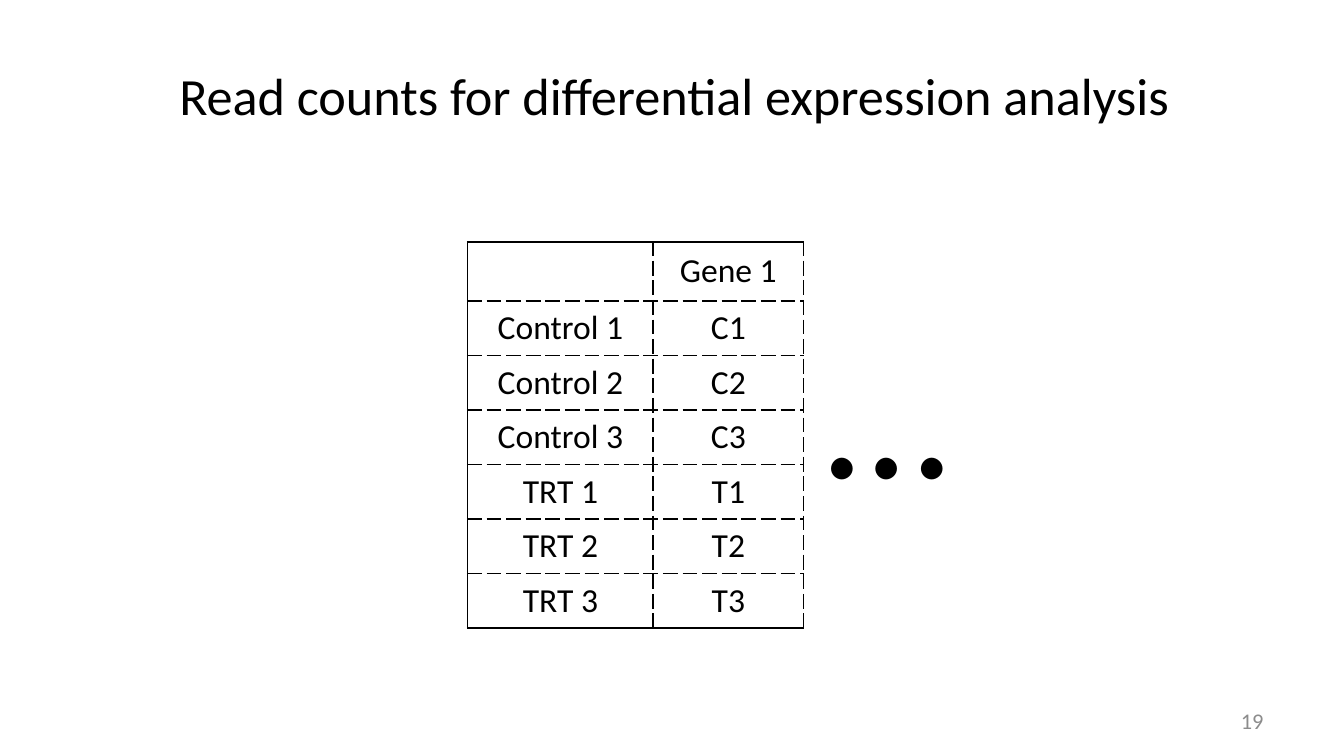
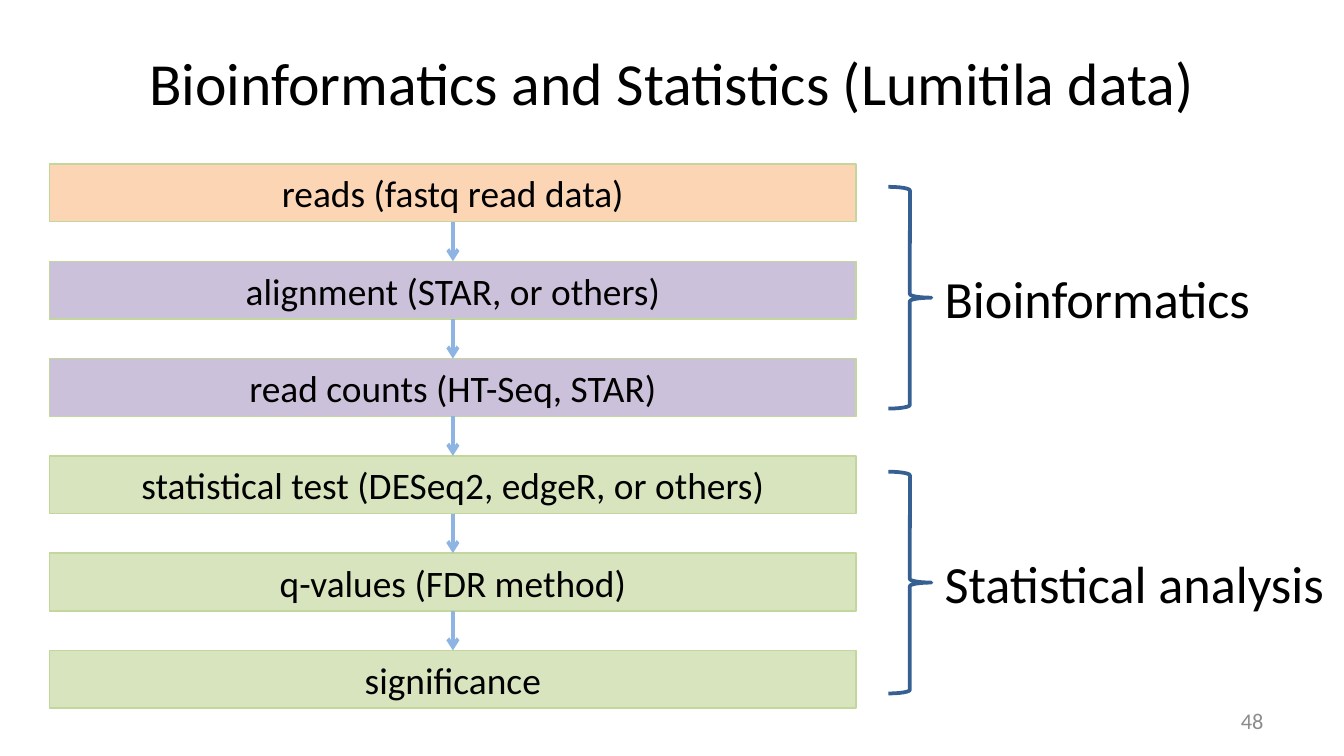
import pptx
import pptx.dml.color
import pptx.enum.shapes
import pptx.enum.text
import pptx.oxml
import pptx.oxml.ns
import pptx.util
from lxml import etree

Inches = pptx.util.Inches
Pt = pptx.util.Pt
ALIGN = pptx.enum.text.PP_ALIGN
ANCHOR = pptx.enum.text.MSO_ANCHOR
FIT = pptx.enum.text.MSO_AUTO_SIZE
SHAPE = pptx.enum.shapes.MSO_SHAPE

PAGE_WIDTH = 10
PAGE_HEIGHT = PAGE_WIDTH * 9 / 16
FONT = "Calibri"
BLACK = "000000"
GREY = "8C8C8C"
ORANGE = "FCD5B5"
PURPLE = "CCC1DA"
GREEN = "D7E4BD"
STEP_EDGE = "C3D69B"
ARROW_BLUE = "8EB4E3"
BRACE_BLUE = "376092"


def colour(hex_code):
    return pptx.dml.color.RGBColor.from_string(hex_code)


def inches(box):
    return [Inches(length) for length in box]


def write(frame, text, size, align=ALIGN.CENTER, ink=BLACK):
    para = frame.paragraphs[0]
    para.alignment = align
    span = para.add_run()
    span.text = text
    span.font.name = FONT
    span.font.size = Pt(size)
    span.font.color.rgb = colour(ink)


def add_label(page, box, text, size, wrap=False, anchor=ANCHOR.MIDDLE, **style):
    frame = page.shapes.add_textbox(*inches(box)).text_frame
    frame.word_wrap = wrap
    frame.auto_size = FIT.NONE if wrap else FIT.SHAPE_TO_FIT_TEXT
    frame.vertical_anchor = anchor
    write(frame, text, size, **style)


def add_page(deck, title, title_box, title_size, number):
    """Add a slide with its title and its number at the bottom right."""
    page = deck.slides.add_slide(deck.slide_layouts.get_by_name("Title Only"))
    heading = page.shapes.title
    heading.left, heading.top, heading.width, heading.height = inches(title_box)
    frame = heading.text_frame
    frame.word_wrap = True
    frame.auto_size = FIT.NONE
    frame.vertical_anchor = ANCHOR.MIDDLE
    write(frame, title, title_size)
    add_label(page, (7.17, 5.21, 2.33, 0.3), number, 12, wrap=True,
              align=ALIGN.RIGHT, ink=GREY)
    return page


def set_borders(cell, solid_sides):
    """Give a cell black borders, dashed except on the solid sides."""
    properties = cell._tc.get_or_add_tcPr()
    for side in "LRTB":
        dash = "solid" if side in solid_sides else "sysDash"
        properties.append(pptx.oxml.parse_xml(
            f'<a:ln{side} {pptx.oxml.ns.nsdecls("a")} w="{Pt(1)}">'
            f'<a:solidFill><a:srgbClr val="{BLACK}"/></a:solidFill>'
            f'<a:prstDash val="{dash}"/></a:ln{side}>'))


def add_count_table(page, box, rows, column_widths, row_heights):
    """Draw a table whose left, top and bottom edges are solid."""
    table = page.shapes.add_table(len(rows), len(column_widths), *inches(box)).table
    table.first_row = False
    table.horz_banding = False
    for column, width in zip(table.columns, column_widths):
        column.width = Inches(width)
    for row, height in zip(table.rows, row_heights):
        row.height = Inches(height)
    for r, texts in enumerate(rows):
        for c, text in enumerate(texts):
            cell = table.cell(r, c)
            solid_sides = "L" if c == 0 else ""
            solid_sides += "T" if r == 0 else ""
            solid_sides += "B" if r == len(rows) - 1 else ""
            set_borders(cell, solid_sides)
            cell.fill.background()
            cell.vertical_anchor = ANCHOR.MIDDLE
            if text:
                write(cell.text_frame, text, 18)


def add_step(page, box, text, fill):
    step = page.shapes.add_shape(SHAPE.RECTANGLE, *inches(box))
    step.shadow.inherit = False
    step.fill.solid()
    step.fill.fore_color.rgb = colour(fill)
    step.line.color.rgb = colour(STEP_EDGE)
    step.line.width = Pt(0.75)
    frame = step.text_frame
    frame.word_wrap = True
    frame.margin_left = frame.margin_right = frame.margin_top = frame.margin_bottom = 0
    frame.vertical_anchor = ANCHOR.MIDDLE
    write(frame, text, 20)


def add_arrow(page, x, top, bottom):
    arrow = page.shapes.add_connector(pptx.enum.shapes.MSO_CONNECTOR.STRAIGHT,
                                      *inches((x, top, x, bottom)))
    arrow.line.color.rgb = colour(ARROW_BLUE)
    arrow.line.width = Pt(2)
    line = arrow._element.spPr.find(pptx.oxml.ns.qn("a:ln"))
    etree.SubElement(line, pptx.oxml.ns.qn("a:tailEnd"), type="arrow")
    etree.SubElement(arrow._element.spPr, pptx.oxml.ns.qn("a:effectLst"))


def add_flow(page, box, steps, step_height):
    """Spread the steps evenly down the box and join them with arrows."""
    left, top, width, height = box
    pitch = (height - step_height) / (len(steps) - 1)
    tops = [top + i * pitch for i in range(len(steps))]
    for y, (text, fill) in zip(tops, steps):
        add_step(page, (left, y, width, step_height), text, fill)
    for y, next_y in zip(tops, tops[1:]):
        add_arrow(page, left + width / 2, y + step_height, next_y)


def add_braced_group(page, box, text, text_width):
    """Draw a right brace with its label beside the point."""
    left, top, width, height = box
    brace = page.shapes.add_shape(SHAPE.RIGHT_BRACE, *inches(box))
    brace.shadow.inherit = False
    brace.fill.background()
    brace.line.color.rgb = colour(BRACE_BLUE)
    brace.line.width = Pt(2)
    label_height = 0.57
    label_top = top + (height - label_height) / 2
    add_label(page, (left + width, label_top, text_width, label_height), text, 28,
              align=ALIGN.LEFT, anchor=ANCHOR.TOP)


def build_counts_slide(deck):
    page = add_page(deck, "Read counts for differential expression analysis",
                    (0.94, 0.34, 8.15, 0.73), 28, "19")
    rows = [("", "Gene 1")]
    rows += [(f"{group} {i}", f"{group[0]}{i}")
             for group in ("Control", "TRT") for i in (1, 2, 3)]
    add_count_table(page, (3.48, 1.8, 2.5, 2.84), rows, (1.38, 1.12), [0.44] + [0.39] * 6)
    add_label(page, (6.04, 2.17, 1.13, 1.72), "…", 96)


def build_workflow_slide(deck):
    page = add_page(deck, "Bioinformatics and Statistics (Lumitila data)",
                    (0.5, 0.22, 9, 0.77), 32, "48")
    steps = [
        ("reads (fastq read data)", ORANGE),
        ("alignment (STAR, or others)", PURPLE),
        ("read counts (HT-Seq, STAR)", PURPLE),
        ("statistical test (DESeq2, edgeR, or others)", GREEN),
        ("q-values (FDR method)", GREEN),
        ("significance", GREEN),
    ]
    add_flow(page, (0.37, 1.22, 6, 4.05), steps, 0.43)
    add_braced_group(page, (6.61, 1.39, 0.32, 1.65), "Bioinformatics", 2.51)
    add_braced_group(page, (6.61, 3.51, 0.32, 1.65), "Statistical analysis", 3.07)


def main():
    deck = pptx.Presentation()
    deck.slide_width, deck.slide_height = inches((PAGE_WIDTH, PAGE_HEIGHT))
    build_counts_slide(deck)
    build_workflow_slide(deck)
    deck.save("out.pptx")


if __name__ == "__main__":
    main()
